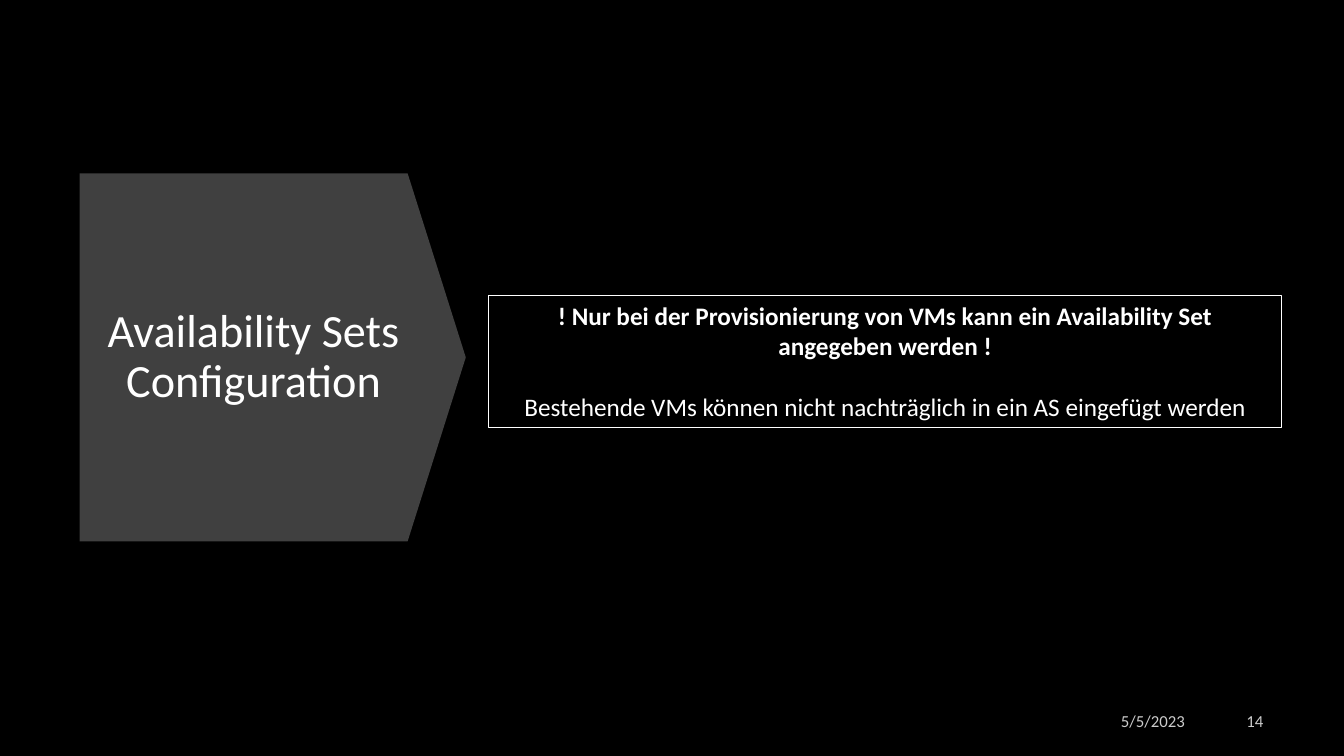
"""Build the Availability Sets configuration slide."""
from pptx import Presentation
from pptx.dml.color import RGBColor
from pptx.enum.shapes import MSO_SHAPE
from pptx.enum.text import MSO_ANCHOR, PP_ALIGN
from pptx.util import Inches, Pt

BLACK = RGBColor(0x00, 0x00, 0x00)
WHITE = RGBColor(0xFF, 0xFF, 0xFF)
GREY = RGBColor(0x40, 0x40, 0x40)
PALE = RGBColor(0xCC, 0xCC, 0xCC)
CENTER, RIGHT = PP_ALIGN.CENTER, PP_ALIGN.RIGHT
MIDDLE = MSO_ANCHOR.MIDDLE
ARROW, RECT = MSO_SHAPE.DOWN_ARROW, MSO_SHAPE.RECTANGLE


def write(p, text, size=18, color=WHITE, bold=False, align=CENTER, before=0, after=0):
    p.alignment = align
    p.space_before, p.space_after = Pt(before), Pt(after)
    r = p.add_run()
    r.text = text
    r.font.name, r.font.size = "Calibri", Pt(size)
    r.font.bold, r.font.color.rgb = bold, color


prs = Presentation()
prs.slide_width, prs.slide_height = Inches(13.33), Inches(7.5)
s = prs.slides.add_slide(prs.slide_layouts[5])
s.background.fill.solid()
s.background.fill.fore_color.rgb = BLACK

arrow = s.shapes.add_shape(ARROW, Inches(0.88), Inches(1.63), Inches(3.65), Inches(3.83))
arrow.rotation = 270
arrow.adjustments[0], arrow.adjustments[1] = 1, 0.158
arrow.shadow.inherit = False
arrow.fill.solid()
arrow.fill.fore_color.rgb = GREY
arrow.line.fill.background()

title = s.shapes.title
title.left, title.top = Inches(0.75), Inches(2.15)
title.width, title.height = Inches(3.53), Inches(2.79)
tf = title.text_frame
tf.word_wrap, tf.vertical_anchor = True, MIDDLE
p = tf.paragraphs[0]
p.line_spacing = 0.9
write(p, "Availability Sets Configuration", size=33)
s.shapes._spTree.remove(title._element)
s.shapes._spTree.append(title._element)

for text, left, width in [("5/5/2023", 9.67, 2.18), ("14", 12.07, 0.56)]:
    sp = s.shapes.add_textbox(Inches(left), Inches(6.95), Inches(width), Inches(0.4))
    tf = sp.text_frame
    tf.word_wrap, tf.vertical_anchor = True, MIDDLE
    write(tf.paragraphs[0], text, size=12, color=PALE, align=RIGHT, after=6)

note = s.shapes.add_shape(RECT, Inches(4.85), Inches(2.93), Inches(7.86), Inches(1.31))
note.shadow.inherit = False
note.fill.background()
note.line.color.rgb, note.line.width = WHITE, Pt(0.75)
tf = note.text_frame
tf.word_wrap, tf.vertical_anchor = True, MSO_ANCHOR.TOP
write(tf.paragraphs[0], "! Nur bei der Provisionierung von VMs kann ein Availability Set angegeben werden !",
      bold=True)
write(tf.add_paragraph(), "Bestehende VMs können nicht nachträglich in ein AS eingefügt werden", before=22)

prs.save("out.pptx")
